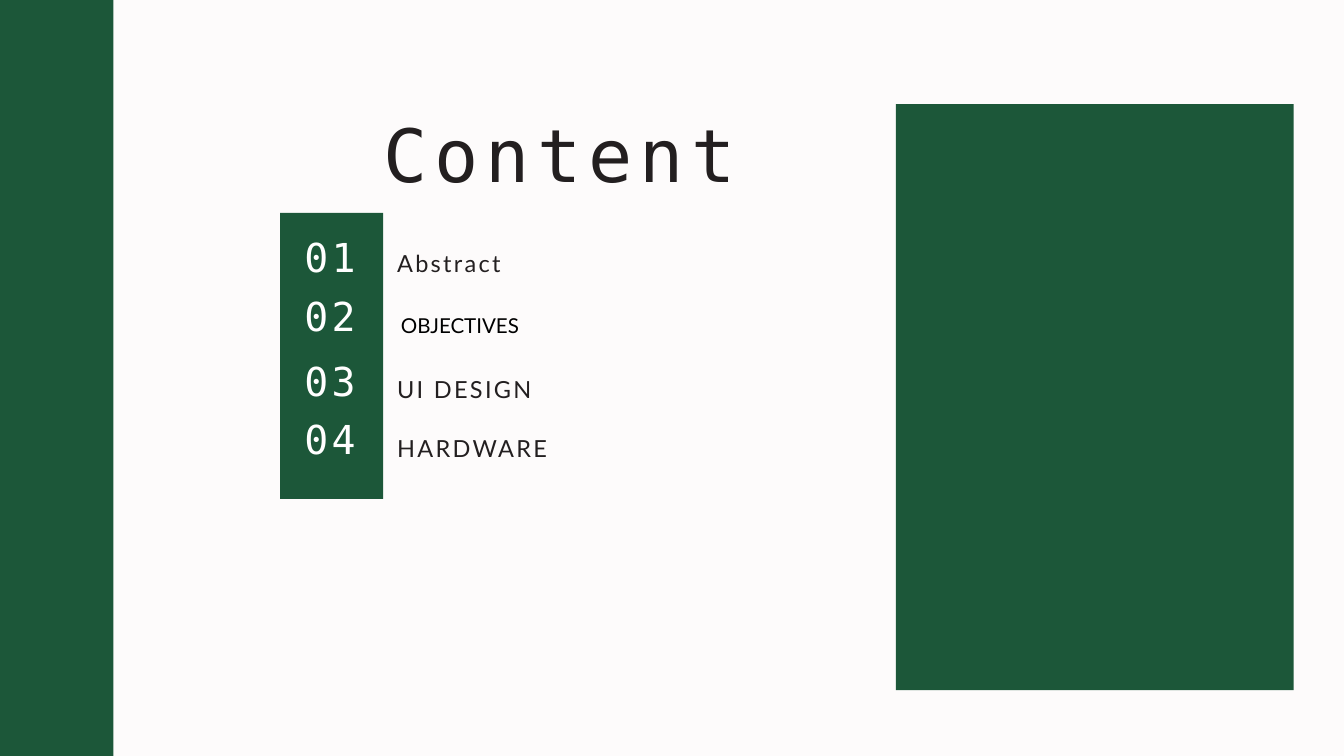
import pptx
import pptx.dml.color
import pptx.enum.shapes
import pptx.enum.text
import pptx.util

Cm = pptx.util.Cm
Pt = pptx.util.Pt
RGBColor = pptx.dml.color.RGBColor
ALIGN = pptx.enum.text.PP_ALIGN

BACKGROUND = RGBColor(0xFD, 0xFB, 0xFB)
GREEN = RGBColor(0x1C, 0x57, 0x39)
INK = RGBColor(0x23, 0x1F, 0x20)
BLACK = RGBColor(0, 0, 0)
WHITE = RGBColor(0xFF, 0xFF, 0xFF)

MONO = "DejaVu Sans Mono"
SANS = "Lato"

# Number top, label top (cm) and label of each agenda entry
AGENDA = [
    (8.79, 9.27, "Abstract"),
    (11.02, 11.76, "OBJECTIVES"),
    (13.46, 14.02, "UI DESIGN"),
    (15.67, 16.23, "HARDWARE"),
]


def add_panel(slide, left, top, width, height):
    panel = slide.shapes.add_shape(
        pptx.enum.shapes.MSO_SHAPE.RECTANGLE,
        Cm(left), Cm(top), Cm(width), Cm(height))
    panel.shadow.inherit = False
    panel.fill.solid()
    panel.fill.fore_color.rgb = GREEN
    panel.line.fill.background()


def add_text(slide, text, left, top, width, height, font, size, color,
             line_height, tracking=0, align=ALIGN.LEFT):
    """Add one line of text; size, line height and tracking are in points."""
    frame = slide.shapes.add_textbox(
        Cm(left), Cm(top), Cm(width), Cm(height)).text_frame
    frame.word_wrap = True
    frame.margin_left = frame.margin_right = 0
    frame.margin_top = frame.margin_bottom = 0
    paragraph = frame.paragraphs[0]
    paragraph.alignment = align
    paragraph.line_spacing = Pt(line_height)
    paragraph.font.name = font
    paragraph.font.size = Pt(size)
    paragraph.font.color.rgb = color
    run = paragraph.add_run()
    run.text = text
    if tracking:
        run._r.get_or_add_rPr().set("spc", str(round(tracking * 100)))


def add_agenda(slide):
    for number, (number_top, label_top, label) in enumerate(AGENDA, start=1):
        add_text(slide, f"{number:02}", 11.18, number_top, 2.59, 1.98,
                 MONO, 42.7, WHITE, 51.3, 3.5, ALIGN.CENTER)
        if label == "OBJECTIVES":
            add_text(slide, label, 15.01, label_top, 4.75, 0.99,
                     SANS, 22, BLACK, 28.6, align=ALIGN.CENTER)
        else:
            add_text(slide, label, 15.01, label_top, 16.08, 1.17,
                     SANS, 25.2, INK, 34.8, 2.5)


def main():
    presentation = pptx.Presentation()
    presentation.slide_width = Cm(50.8)
    presentation.slide_height = Cm(28.575)
    slide = presentation.slides.add_slide(presentation.slide_layouts[6])
    slide.background.fill.solid()
    slide.background.fill.fore_color.rgb = BACKGROUND

    add_panel(slide, 10.59, 8.05, 3.89, 10.81)
    add_panel(slide, 0, 0, 4.29, 28.58)
    add_panel(slide, 33.86, 3.94, 15.04, 22.15)
    add_text(slide, "Content", 14.48, 3.63, 15.72, 4.01,
             MONO, 78.7, INK, 108.6, 7.7)
    add_agenda(slide)
    presentation.save("out.pptx")


if __name__ == "__main__":
    main()
